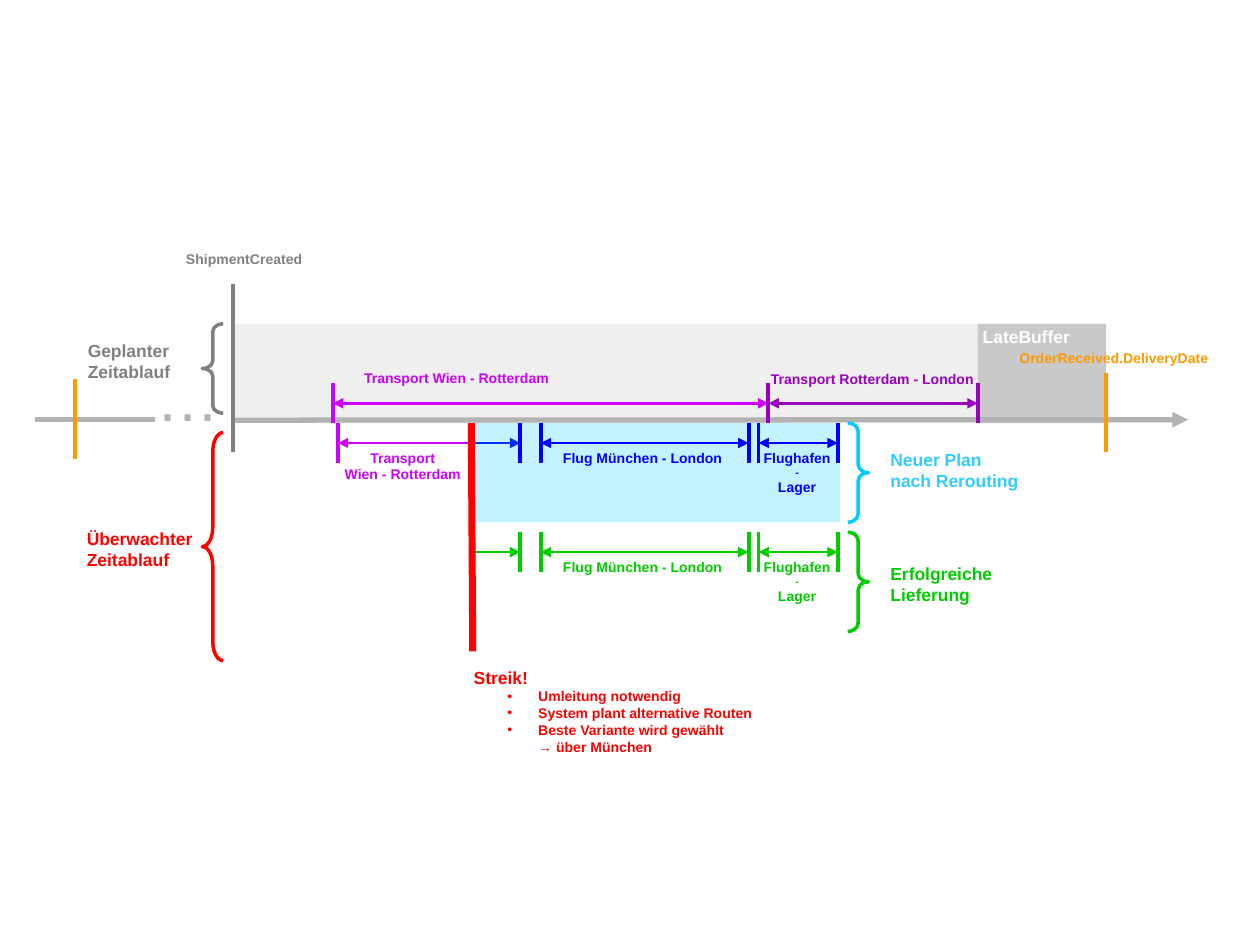
from lxml.etree import SubElement
from pptx import Presentation
from pptx.dml.color import RGBColor
from pptx.enum.shapes import MSO_CONNECTOR, MSO_SHAPE
from pptx.enum.text import MSO_ANCHOR, MSO_AUTO_SIZE, PP_ALIGN
from pptx.oxml.ns import qn
from pptx.util import Cm, Pt

GRAY, AXIS_GRAY = "808080", "B2B2B2"
MAGENTA, PURPLE = "CC00FF", "9800BC"
BLUE, CYAN, SKY = "0000FF", "00CCFF", "33CCFF"
GREEN, RED, ORANGE, WHITE = "00CC00", "FF0000", "FF9900", "FFFFFF"

AXIS = 8.53
ROW_HEIGHT = 2
PLAN_TOP = AXIS - ROW_HEIGHT
GREEN_TOP = AXIS + 2.2
TICK = 0.8
START, STRIKE, BUFFER, DELIVERY = 4.7, 9.5, 19.71, 22.3
REROUTE_TICKS = (10.49, 10.9, 15.09, 15.29, 16.89)


def paint(color_format, color):
    color_format.rgb = RGBColor.from_string(color)


def add_line(slide, start, end, color, weight, head=False, tail=False):
    x1, y1, x2, y2 = (Cm(value) for value in (*start, *end))
    line = slide.shapes.add_connector(MSO_CONNECTOR.STRAIGHT, x1, y1, x2, y2)
    paint(line.line.color, color)
    line.line.width = Pt(weight)
    properties = line._element.spPr
    outline = properties.find(qn("a:ln"))
    for tag, wanted in (("a:headEnd", head), ("a:tailEnd", tail)):
        if wanted:
            SubElement(outline, qn(tag), type="triangle")
    SubElement(properties, qn("a:effectLst"))


def add_arrow(slide, left, right, y, color, head=True, tail=True):
    add_line(slide, (left, y), (right, y), color, 1.5, head, tail)


def add_tick(slide, x, top, bottom, color, weight=2.25):
    add_line(slide, (x, top), (x, bottom), color, weight)


def add_band(slide, left, top, right, color, opacity):
    """Add a translucent rectangle for a span of time."""
    band = slide.shapes.add_shape(MSO_SHAPE.RECTANGLE, Cm(left), Cm(top),
                                  Cm(right - left), Cm(ROW_HEIGHT))
    band.shadow.inherit = False
    band.line.fill.background()
    band.fill.solid()
    paint(band.fill.fore_color, color)
    fill_color = band._element.spPr.find(qn("a:solidFill"))[0]
    SubElement(fill_color, qn("a:alpha"), val=str(opacity * 1000))
    return band


def add_brace(slide, kind, left, top, height, color, width=0.42):
    brace = slide.shapes.add_shape(kind, Cm(left), Cm(top), Cm(width), Cm(height))
    brace.shadow.inherit = False
    brace.fill.background()
    paint(brace.line.color, color)
    brace.line.width = Pt(2)
    brace.adjustments[0] = height / 12 / width


def write(frame, text, size=8, color=GRAY, bold=True, align=PP_ALIGN.LEFT, bullet=False):
    """Write one paragraph, using the empty first one when there is one."""
    paragraph = frame.paragraphs[0]
    if paragraph.runs:
        paragraph = frame.add_paragraph()
    paragraph.text = text
    paragraph.alignment = align
    for run in paragraph.runs:
        run.font.name = "Arial"
        run.font.size = Pt(size)
        run.font.bold = bold
        paint(run.font.color, color)
    if bullet:
        paragraph.level = 1
        properties = paragraph._p.get_or_add_pPr()
        properties.set("marL", str(Cm(1.3)))
        properties.set("indent", str(Cm(-0.62)))
        SubElement(properties, qn("a:buFont"), typeface="Arial")
        SubElement(properties, qn("a:buChar"), char="•")


def add_label(slide, left, top, width, height, *texts, wrap=False, **text_format):
    box = slide.shapes.add_textbox(Cm(left), Cm(top), Cm(width), Cm(height))
    frame = box.text_frame
    frame.word_wrap = wrap
    frame.auto_size = MSO_AUTO_SIZE.SHAPE_TO_FIT_TEXT
    for text in texts:
        write(frame, text, **text_format)
    return frame


def add_bands(slide):
    add_band(slide, STRIKE, AXIS, 16.94, CYAN, 23)
    add_band(slide, START, PLAN_TOP, BUFFER, GRAY, 12)
    frame = add_band(slide, BUFFER, PLAN_TOP, DELIVERY, GRAY, 42).text_frame
    frame.margin_left, frame.margin_top = Cm(0.1), Cm(0.05)
    frame.vertical_anchor = MSO_ANCHOR.TOP
    frame.word_wrap = False
    write(frame, "LateBuffer", size=10, color=WHITE)


def add_time_axis(slide):
    add_line(slide, (0.71, 8.46), (3.12, 8.46), AXIS_GRAY, 3)
    add_label(slide, 2.9, 7.11, 1.78, 1.78, "…", size=36, color=AXIS_GRAY, bold=False)
    add_tick(slide, 1.52, 7.65, 9.25, ORANGE)
    add_line(slide, (START, 8.47), (23.95, 8.46), AXIS_GRAY, 3, tail=True)
    add_tick(slide, START, 5.72, 9.12, GRAY)
    add_label(slide, 3.5, 4.93, 3.1, 0.61, "ShipmentCreated")
    add_label(slide, 20.3, 6.93, 4.5, 0.61, "OrderReceived.DeliveryDate", color=ORANGE)
    add_tick(slide, DELIVERY, 7.52, 9.12, ORANGE)


def add_planned_route(slide):
    departure, port = 6.71, 15.49
    add_arrow(slide, departure, port, 8.13, MAGENTA)
    add_arrow(slide, port, BUFFER, 8.13, PURPLE)
    for x, color in ((departure, MAGENTA), (port, PURPLE), (BUFFER, PURPLE)):
        add_tick(slide, x, AXIS - TICK, AXIS, color)
    add_label(slide, 7.09, 7.32, 4.5, 0.61, "Transport Wien - Rotterdam", color=MAGENTA)
    add_label(slide, 15.29, 7.34, 4.9, 0.61, "Transport Rotterdam - London", color=PURPLE)


def add_rerouted_legs(slide, top, color):
    """Draw the flight and the delivery leg below the given line."""
    middle = top + TICK / 2
    _, takeoff, landing, airport, warehouse = REROUTE_TICKS
    for x in REROUTE_TICKS:
        add_tick(slide, x, top, top + TICK, color)
    add_arrow(slide, takeoff, landing, middle, color)
    add_arrow(slide, airport, warehouse, middle, color)
    add_label(slide, 11.1, middle, 4, 0.61, "Flug München - London", color=color)
    frame = add_label(slide, 14.97, middle, 2.2, 1.19)
    for text, size in (("Flughafen", 8), ("-", 6), ("Lager", 8)):
        write(frame, text, size=size, color=color, align=PP_ALIGN.CENTER)


def add_strike(slide):
    add_line(slide, (STRIKE, AXIS), (STRIKE + 0.03, 13.13), RED, 4)
    frame = add_label(slide, 9.3, 13.32, 6.6, 2.03, "Streik!", wrap=True, size=10, color=RED)
    for text in ("Umleitung notwendig", "System plant alternative Routen",
                 "Beste Variante wird gewählt\v→ über München"):
        write(frame, text, color=RED, bullet=True)


def add_row_titles(slide):
    left, right = MSO_SHAPE.LEFT_BRACE, MSO_SHAPE.RIGHT_BRACE
    add_brace(slide, left, 4.08, PLAN_TOP, 1.8, GRAY)
    add_brace(slide, left, 4.08, 8.72, 4.6, RED)
    add_brace(slide, right, 17.09, AXIS, ROW_HEIGHT, CYAN)
    add_brace(slide, right, 17.09, GREEN_TOP, ROW_HEIGHT, GREEN)
    add_label(slide, 1.52, 6.73, 2.4, 1.12, "Geplanter", "Zeitablauf", size=10)
    for x, y, texts, color in (
        (1.5, 10.52, ("Überwachter", "Zeitablauf"), RED),
        (17.7, 8.92, ("Neuer Plan nach Rerouting",), SKY),
        (17.7, 11.23, ("Erfolgreiche Lieferung",), GREEN),
    ):
        add_label(slide, x, y, 3.2, 1.12, *texts, wrap=True, size=10, color=color)


def main():
    presentation = Presentation()
    presentation.slide_width, presentation.slide_height = Cm(25.4), Cm(19.05)
    slide = presentation.slides.add_slide(presentation.slide_layouts[6])

    first_leg, first_stop = 6.81, REROUTE_TICKS[0]
    middle = AXIS + TICK / 2
    add_arrow(slide, STRIKE, first_stop, middle, BLUE, head=False)
    add_arrow(slide, first_leg, 9.6, middle, MAGENTA, tail=False)
    add_arrow(slide, STRIKE, first_stop, GREEN_TOP + TICK / 2, GREEN, head=False)
    add_bands(slide)
    add_time_axis(slide)
    add_planned_route(slide)
    add_tick(slide, first_leg, AXIS, AXIS + TICK, MAGENTA)
    add_label(slide, 6.53, middle, 3.18, 0.94, "Transport\vWien - Rotterdam",
              wrap=True, color=MAGENTA, align=PP_ALIGN.CENTER)
    add_rerouted_legs(slide, AXIS, BLUE)
    add_rerouted_legs(slide, GREEN_TOP, GREEN)
    add_strike(slide)
    add_row_titles(slide)
    presentation.save("out.pptx")


if __name__ == "__main__":
    main()
